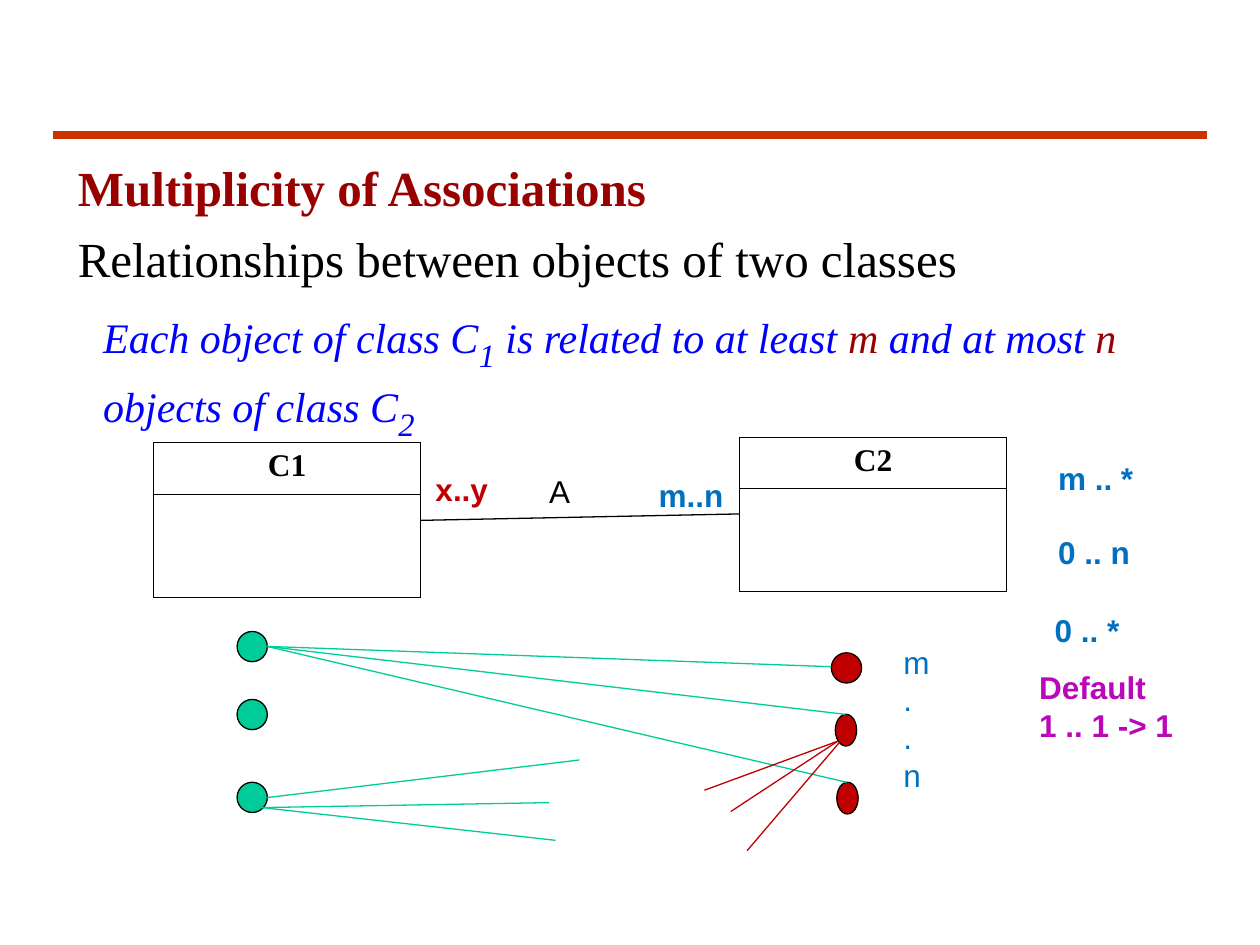
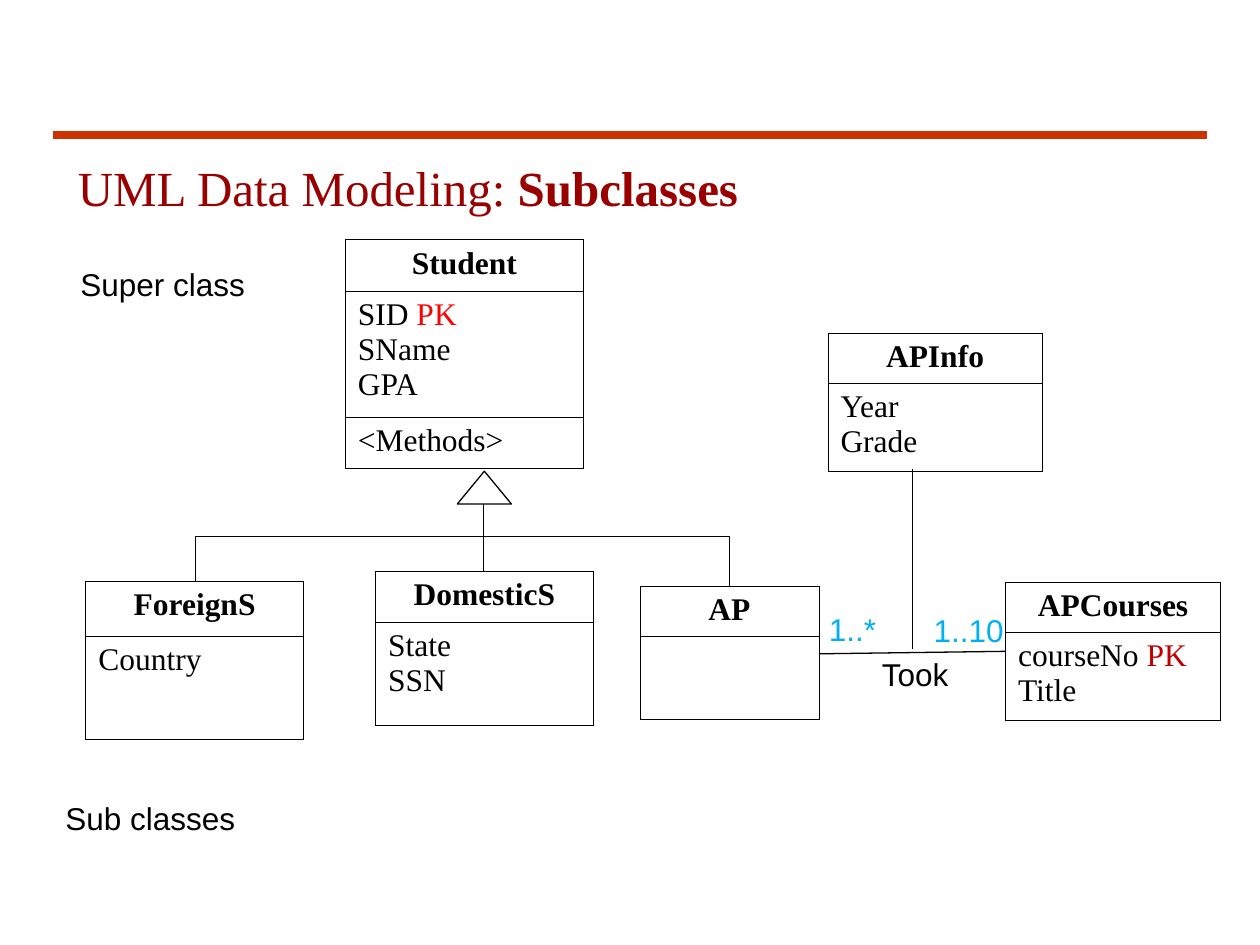
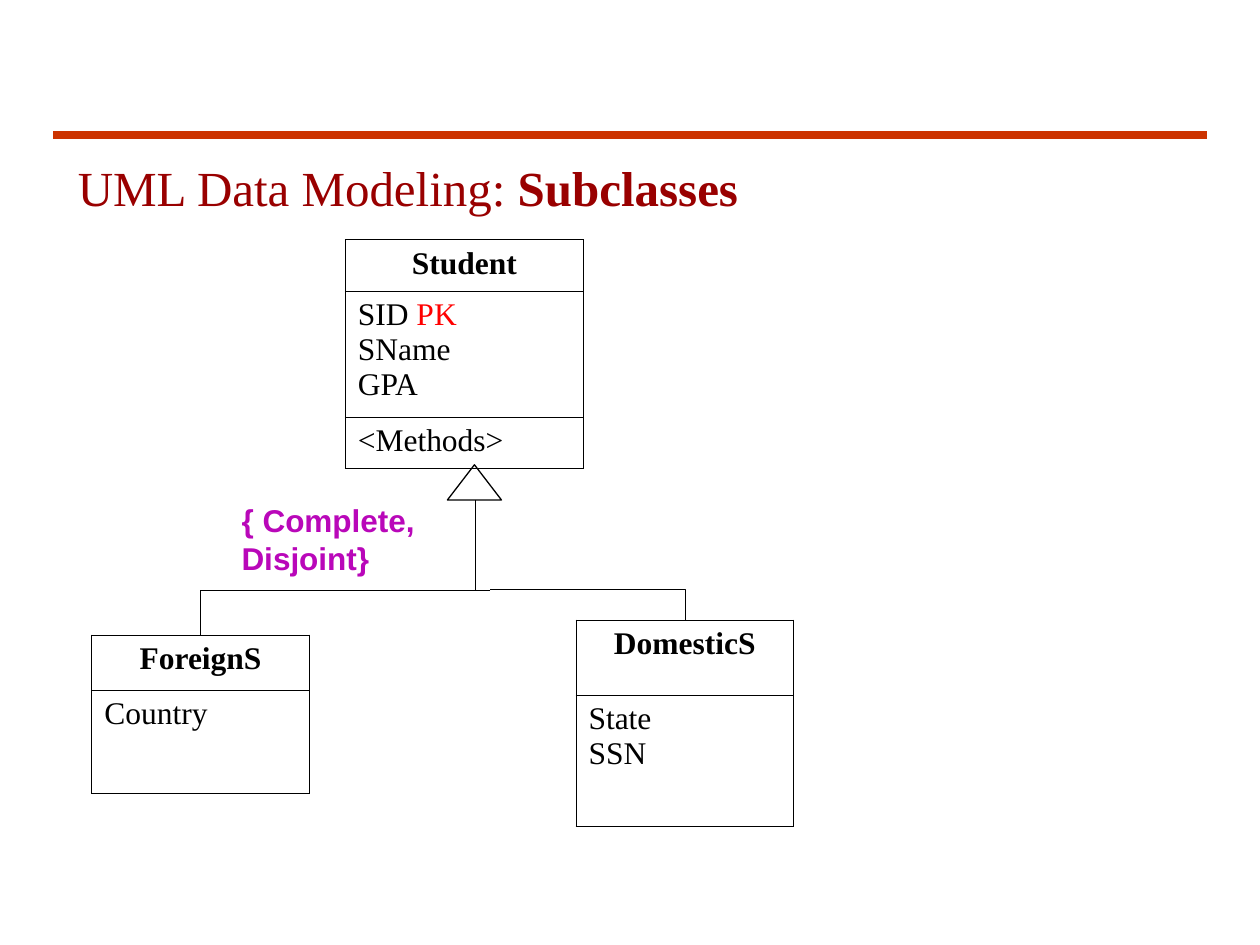
"""Build three slides on UML associations and subclasses."""
import pptx
import pptx.dml.color
import pptx.enum.shapes
import pptx.enum.text
import pptx.oxml
import pptx.oxml.ns
import pptx.util
from lxml import etree

Cm, Pt = pptx.util.Cm, pptx.util.Pt
qn = pptx.oxml.ns.qn
MSO_SHAPE = pptx.enum.shapes.MSO_SHAPE
MSO_CONNECTOR = pptx.enum.shapes.MSO_CONNECTOR
PP_ALIGN = pptx.enum.text.PP_ALIGN

SERIF, SANS = "Times New Roman", "Arial"
BLACK, MAROON, RULE = "000000", "990000", "CC3300"
GREEN, CRIMSON, RED = "00CC99", "C00000", "FF0000"
BLUE, SKY, PURPLE, INK = "0070C0", "00B0F0", "B907B9", "0000FF"


def style(r, color, font=SANS, size=18, bold=False, italic=False):
    """Format one run with a hex colour."""
    r.font.name, r.font.size = font, Pt(size)
    r.font.bold, r.font.italic = bold, italic
    r.font.color.rgb = pptx.dml.color.RGBColor.from_string(color)


def add_line(s, kind, start, end, color=BLACK, width=0.75):
    """Draw a connector between two points given in centimetres."""
    c = s.shapes.add_connector(kind, *[Cm(v) for v in (*start, *end)])
    c.line.color.rgb = pptx.dml.color.RGBColor.from_string(color)
    c.line.width = Pt(width)
    etree.SubElement(c.element.spPr, qn("a:effectLst"))
    if kind == MSO_CONNECTOR.ELBOW:
        c.element.spPr.find(qn("a:prstGeom")).set("prst", "bentConnector2")
    return c


student = (6.96, 4.83, 4.8, [1.04, 2.54, 1.04],
           ["Student", "SID |PK\nSName\nGPA", "<Methods>"], RED)
subclass_title = [("UML Data Modeling: ", False), ("Subclasses", True)]
domestic = ["DomesticS", "State\nSSN"]
foreign = ["ForeignS", "Country"]

slides = [
    {
        "title": [("Multiplicity of Associations", True)],
        "classes": [
            (3.1, 8.92, 5.38, [1.04, 2.08], ["C1", ""], BLACK),
            (14.91, 8.81, 5.38, [1.04, 2.08], ["C2", ""], BLACK),
        ],
        "shapes": [(MSO_SHAPE.OVAL, 4.78, y, 0.61, 0.61, GREEN) for y in (12.73, 14.1, 15.77)] + [
            (MSO_SHAPE.OVAL, 16.76, 13.16, 0.61, 0.61, CRIMSON),
            (MSO_SHAPE.OVAL, 16.84, 14.4, 0.43, 0.64, CRIMSON),
            (MSO_SHAPE.OVAL, 16.87, 15.77, 0.43, 0.64, CRIMSON),
        ],
        "lines": [
            ((8.48, 10.49), [(14.91, 10.36)], BLACK),
            ((5.38, 13.03), [(16.76, 13.44), (17.04, 14.4), (17.07, 15.77)], GREEN),
            ((5.38, 16.08), [(11.68, 15.32)], GREEN),
            ((5.28, 16.28), [(11.07, 16.18), (11.2, 16.94)], GREEN),
            ((16.89, 14.94), [(14.2, 15.93), (14.73, 16.36)], CRIMSON),
            ((16.97, 14.91), [(15.06, 17.15)], CRIMSON),
        ],
        "elbows": [],
        "labels": [
            (10.82, 9.4, 1.4, "A", BLACK, False),
            (17.96, 12.83, 1.19, "m\n.\n.\nn", BLUE, False),
            (13.03, 9.47, 1.85, "m..n", BLUE, True),
            (21.08, 9.12, 3.07, "m .. *", BLUE, True),
            (21.08, 10.62, 3.07, "0 .. n", BLUE, True),
            (21.01, 12.19, 3.07, "0 .. *", BLUE, True),
            (20.7, 13.34, 3.76, "Default\n1 .. 1 -> 1", PURPLE, True),
            (8.53, 9.35, 1.85, "x..y", CRIMSON, True),
        ],
    },
    {
        "title": subclass_title,
        "classes": [
            student,
            (7.57, 11.51, 4.39, [1.04, 2.08], domestic, BLACK),
            (12.9, 11.81, 3.61, [1.02, 1.68], ["AP", ""], BLACK),
            (1.73, 11.71, 4.39, [1.12, 2.08], foreign, BLACK),
            (20.27, 11.73, 4.34, [1.02, 1.78], ["APCourses", "courseNo |PK\nTitle"], CRIMSON),
            (16.69, 6.71, 4.32, [1.02, 1.78], ["APInfo", "Year\nGrade"], BLACK),
        ],
        "shapes": [(MSO_SHAPE.ISOSCELES_TRIANGLE, 9.22, 9.5, 1.09, 0.66, None)],
        "lines": [
            ((9.75, 10.16), [(9.75, 11.51)], BLACK),
            ((16.51, 13.18), [(20.27, 13.13)], BLACK),
            ((18.39, 13.08), [(18.39, 9.45)], BLACK),
        ],
        "elbows": [((9.75, 10.82), (3.94, 11.71)), ((9.75, 10.82), (14.71, 11.81))],
        "labels": [
            (1.37, 5.21, 4.8, "Super class", BLACK, False),
            (1.07, 15.98, 4.8, "Sub classes", BLACK, False),
            (17.53, 13.08, 2.06, "Took", BLACK, False),
            (18.57, 12.19, 2.06, "1..10", SKY, False),
            (16.46, 12.17, 2.06, "1..*", SKY, False),
        ],
    },
    {
        "title": subclass_title,
        "classes": [
            student,
            (11.61, 12.5, 4.39, [1.52, 2.64], domestic, BLACK),
            (1.85, 12.8, 4.39, [1.12, 2.08], foreign, BLACK),
        ],
        "shapes": [(MSO_SHAPE.ISOSCELES_TRIANGLE, 9.02, 9.37, 1.09, 0.71, None)],
        "lines": [((9.58, 10.08), [(9.58, 11.91)], BLACK)],
        "elbows": [((9.88, 11.91), (4.04, 12.8)), ((9.88, 11.89), (13.82, 12.5))],
        "labels": [(4.62, 9.98, 4.65, "{ Complete,\nDisjoint}", PURPLE, True)],
    },
]

prs = pptx.Presentation()
prs.slide_width, prs.slide_height = Cm(25.4), Cm(19.05)
layout = prs.slide_layouts[5]

for data in slides:
    s = prs.slides.add_slide(layout)
    if len(prs.slides) == 1:
        rule = add_line(s, MSO_CONNECTOR.STRAIGHT, (1.07, 2.72), (24.33, 2.72), RULE, 4.5)
        layout.shapes.element.append(rule.element)

    title = s.shapes.title
    title.left, title.top, title.width, title.height = Cm(1.07), Cm(3.18), Cm(22.23), Cm(1.27)
    tf = title.text_frame
    tf.auto_size = pptx.enum.text.MSO_AUTO_SIZE.NONE
    tf.vertical_anchor = pptx.enum.text.MSO_ANCHOR.TOP
    tf.margin_left = Cm(0.5)
    p = tf.paragraphs[0]
    p.alignment, p.line_spacing = PP_ALIGN.LEFT, 0.9
    for text, bold in data["title"]:
        r = p.add_run()
        r.text = text
        style(r, MAROON, SERIF, 28, bold)

    for x, y, w, heights, texts, key_color in data["classes"]:
        frame = s.shapes.add_table(len(heights), 1, Cm(x), Cm(y), Cm(w), Cm(sum(heights)))
        table = frame.table
        table.first_row = table.horz_banding = False
        for i, (height, text) in enumerate(zip(heights, texts)):
            table.rows[i].height = Cm(height)
            cell = table.cell(i, 0)
            cell.fill.background()
            for n, side in enumerate(("lnL", "lnR", "lnT", "lnB")):
                border = pptx.oxml.parse_xml(
                    f'<a:{side} {pptx.oxml.ns.nsdecls("a")} w="5715"><a:solidFill>'
                    f'<a:srgbClr val="{BLACK}"/></a:solidFill></a:{side}>')
                cell._tc.tcPr.insert(n, border)
            cell.text_frame.text = text.replace("|PK", "")
            for p, line in zip(cell.text_frame.paragraphs, text.split("\n")):
                p.alignment = PP_ALIGN.CENTER if i == 0 else PP_ALIGN.LEFT
                for r in p.runs:
                    style(r, BLACK, SERIF, bold=i == 0)
                if "|" in line:
                    r = p.add_run()
                    r.text = line.split("|")[1]
                    style(r, key_color, SERIF)

    for kind, x, y, w, h, color in data["shapes"]:
        sp = s.shapes.add_shape(kind, Cm(x), Cm(y), Cm(w), Cm(h))
        sp.shadow.inherit = False
        sp.line.color.rgb = pptx.dml.color.RGBColor.from_string(BLACK)
        sp.line.width = Pt(0.75)
        if color:
            sp.fill.solid()
            sp.fill.fore_color.rgb = pptx.dml.color.RGBColor.from_string(color)
        else:
            sp.fill.background()

    for start, ends, color in data["lines"]:
        for end in ends:
            add_line(s, MSO_CONNECTOR.STRAIGHT, start, end, color)
    for start, end in data["elbows"]:
        add_line(s, MSO_CONNECTOR.ELBOW, start, end)

    for x, y, w, text, color, bold in data["labels"]:
        height = 0.26 + 0.76 * len(text.split("\n"))
        tf = s.shapes.add_textbox(Cm(x), Cm(y), Cm(w), Cm(height)).text_frame
        tf.word_wrap = True
        tf.text = text
        for p in tf.paragraphs:
            style(p.runs[0], color, bold=bold)

body = prs.slides[0].shapes.add_textbox(Cm(1.07), Cm(4.62), Cm(22.23), Cm(4.2))
tf = body.text_frame
tf.word_wrap = True
tf.margin_left = Cm(0.5)
tf.text = "Relationships between objects of two classes"
p = tf.paragraphs[0]
p.line_spacing, p.space_after = 0.9, Pt(6)
style(p.runs[0], BLACK, SERIF, 28)

p = tf.add_paragraph()
p.line_spacing = 0.9
p._p.get_or_add_pPr().set("marL", str(Cm(0.51)))
for text, color, subscript in [
    ("Each object of class C", INK, False), ("1", INK, True),
    (" is related to at least ", INK, False), ("m", MAROON, False),
    (" and at most ", INK, False), ("n", MAROON, False),
    (" objects of class C", INK, False), ("2", INK, True),
]:
    r = p.add_run()
    r.text = text
    style(r, color, SERIF, 32 if subscript else 24, italic=True)
    if subscript:
        r.font._element.set("baseline", "-25000")

prs.save("out.pptx")
